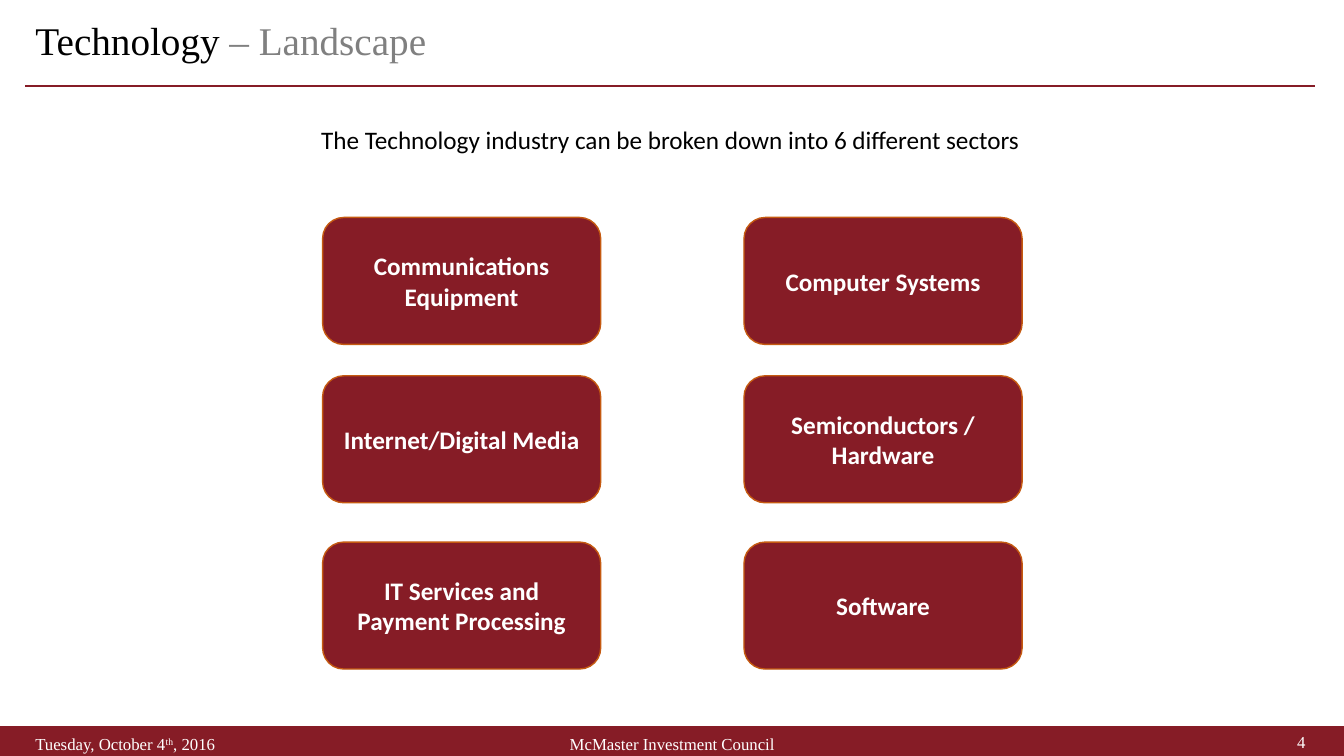
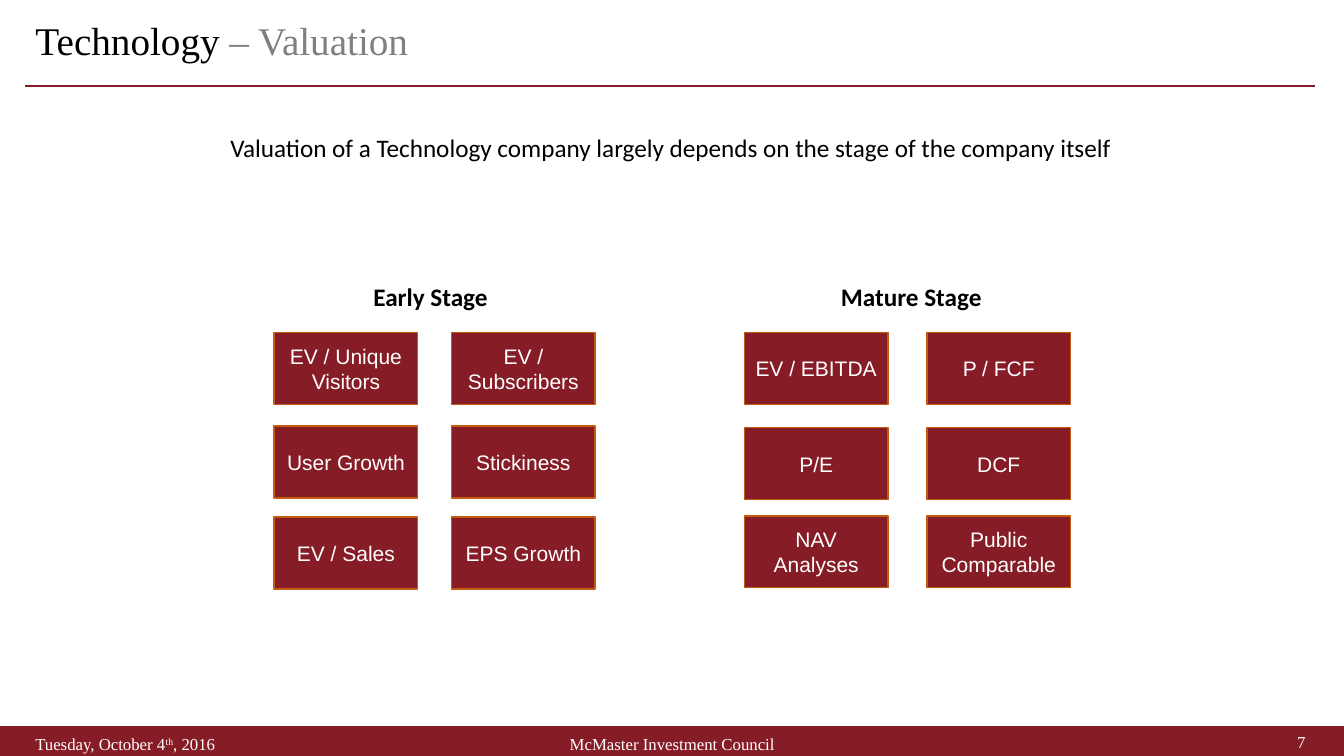
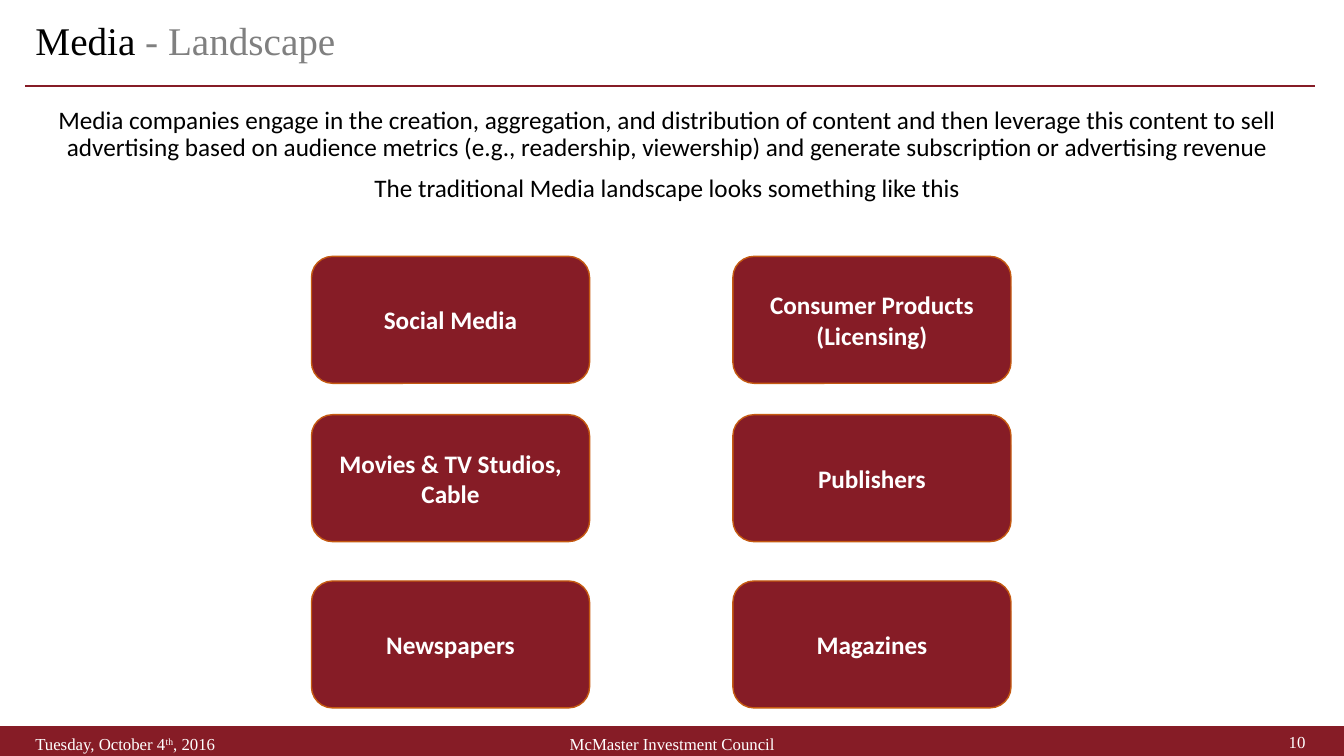
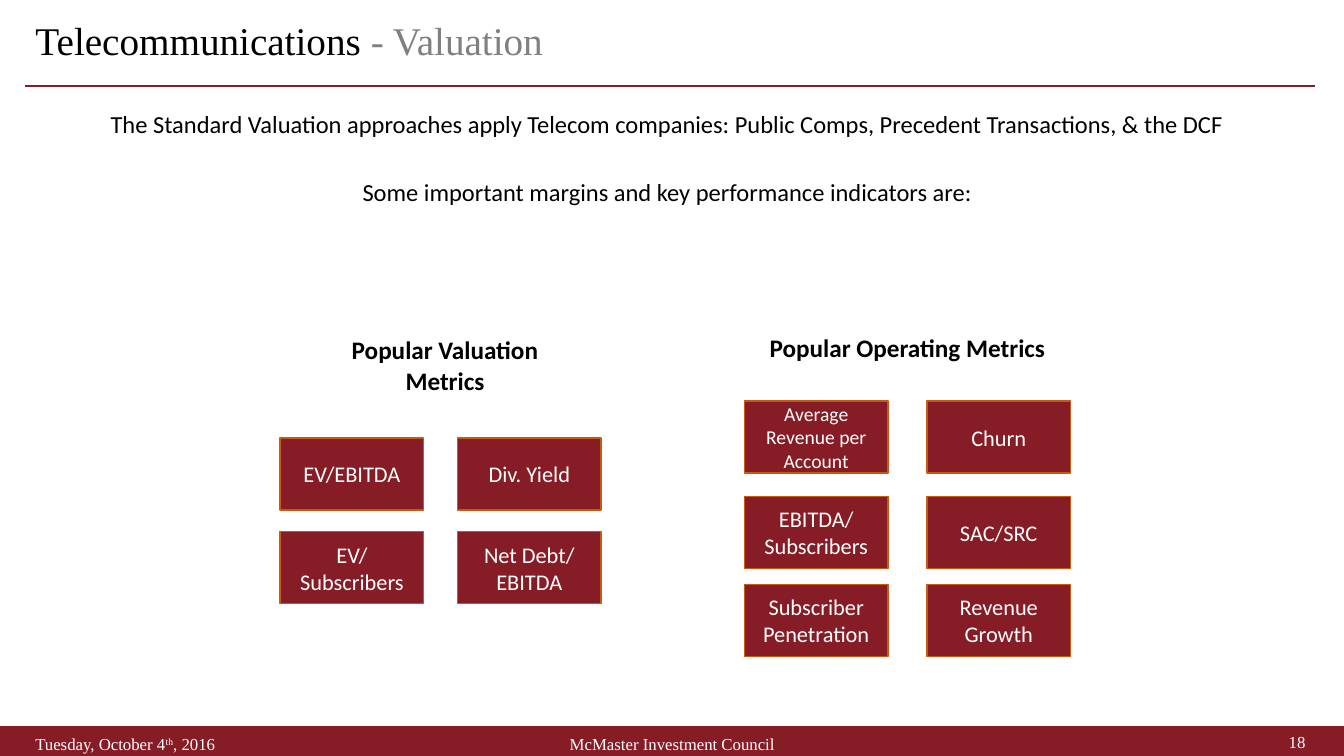
from pptx import Presentation
from pptx.dml.color import RGBColor
from pptx.enum.shapes import MSO_CONNECTOR, MSO_SHAPE
from pptx.enum.text import MSO_ANCHOR, MSO_AUTO_SIZE, PP_ALIGN
from pptx.util import Cm, Pt
from lxml.etree import SubElement
from pptx.oxml.ns import qn

COLORS = {
    "maroon": "861C26",
    "rust": "C55A11",
    "black": "000000",
    "gray": "808080",
    "white": "FFFFFF",
}
SERIF, SANS, PLAIN = "Times New Roman", "Calibri", "Arial"
WIDE, HIGH = 33.87, 19.05
EDGE, SPAN = 0.64, 32.51

# Column step and row offsets of each kind of grid
SECTORS = (10.62, (0, 3.99, 8.18))
LEFT = (4.47, (0, 2.36, 4.65))
RIGHT = (4.6, (0, 2.4, 4.62))


def color(name):
    return RGBColor.from_string(COLORS[name])


def style(font, face, size, shade, bold=False):
    font.name = face
    font.size = Pt(size)
    font.color.rgb = color(shade)
    font.bold = bold


def fill(shape, line):
    shape.shadow.inherit = False
    shape.fill.solid()
    shape.fill.fore_color.rgb = color("maroon")
    shape.line.color.rgb = color(line)
    shape.line.width = Pt(1)


def write(frame, text, face, size, shade, bold=False, align=PP_ALIGN.CENTER):
    frame.word_wrap = True
    frame.text = text
    for para in frame.paragraphs:
        para.alignment = align
        for run in para.runs:
            style(run.font, face, size, shade, bold)


def label(slide, text, at, face=SANS, size=18, shade="black", bold=False,
          align=PP_ALIGN.CENTER):
    frame = slide.shapes.add_textbox(*map(Cm, at)).text_frame
    write(frame, text, face, size, shade, bold, align)
    return frame


def intro(slide, text, at, size=18, lines=1.0, gap=0):
    """Centred lead text, with gap points between its paragraphs."""
    paras = label(slide, text, at, size=size).paragraphs
    for para in paras:
        para.line_spacing = lines
    for para in paras[1:]:
        para.space_before = Pt(gap)


def head(slide, text, at):
    label(slide, text, at, bold=True)


def foot(slide, text, left, top, width, align):
    frame = label(slide, text, (left, top, width, 0.51), SERIF, 12, "white",
                  align=align)
    frame.vertical_anchor = MSO_ANCHOR.MIDDLE
    frame.margin_top = frame.margin_bottom = 0
    return frame.paragraphs[0]


def date(slide):
    para = foot(slide, "Tuesday, October 4", EDGE, 18.49, 7.62, PP_ALIGN.LEFT)
    for text in ("th", ", 2016"):
        run = para.add_run()
        run.text = text
        style(run.font, SERIF, 12, "white")
    para.runs[1]._r.get_or_add_rPr().set("baseline", "30000")


def title(slide, topic, part):
    shape = slide.shapes.title
    shape.left, shape.top, shape.width, shape.height = map(
        Cm, (EDGE, 0.48, SPAN, 1.22))
    frame = shape.text_frame
    frame.auto_size = MSO_AUTO_SIZE.NONE
    frame.vertical_anchor = MSO_ANCHOR.MIDDLE
    write(frame, topic + " ", SERIF, 28, "black", align=PP_ALIGN.LEFT)
    para = frame.paragraphs[0]
    para.line_spacing = 0.9
    run = para.add_run()
    run.text = part
    style(run.font, SERIF, 28, "gray")


def rule(slide):
    line = slide.shapes.add_connector(
        MSO_CONNECTOR.STRAIGHT, Cm(EDGE), Cm(2.17), Cm(EDGE + SPAN), Cm(2.17))
    line.line.color.rgb = color("maroon")
    line.line.width = Pt(1.5)
    SubElement(line._element.spPr, qn("a:effectLst"))


def page(deck, topic, part, number):
    """Add a slide with the shared title, rule, band and footers."""
    slide = deck.slides.add_slide(deck.slide_layouts[5])
    band = slide.shapes.add_shape(
        MSO_SHAPE.RECTANGLE, 0, Cm(18.31), Cm(WIDE), Cm(HIGH - 18.31))
    fill(band, "maroon")
    rule(slide)
    title(slide, topic, part)
    date(slide)
    foot(slide, "McMaster Investment Council", 11.23, 18.49, 11.43,
         PP_ALIGN.CENTER)
    foot(slide, str(number), 25.53, 18.44, 7.62, PP_ALIGN.RIGHT)
    return slide


def box(slide, kind, text, at, face, size, bold):
    shape = slide.shapes.add_shape(kind, *map(Cm, at))
    fill(shape, "rust")
    frame = shape.text_frame
    frame.vertical_anchor = MSO_ANCHOR.MIDDLE
    write(frame, text, face, size, "white", bold)


def cells(items, left, top, plan):
    """Yield each item with its place in a two-column grid, row by row."""
    step, drops = plan
    for i, item in enumerate(items):
        row, col = divmod(i, 2)
        yield item, left + col * step, top + drops[row]


def sectors(slide, items, left, top):
    for text, x, y in cells(items, left, top, SECTORS):
        box(slide, MSO_SHAPE.ROUNDED_RECTANGLE, text, (x, y, 7.01, 3.2),
            SANS, 18, True)


def metrics(slide, items, left, top, plan, face, size):
    """Draw small boxes; three-line labels are two points smaller."""
    for text, x, y in cells(items, left, top, plan):
        fit = size - 2 if len(text) > 24 else size
        box(slide, MSO_SHAPE.RECTANGLE, text, (x, y, 3.62, 1.81),
            face, fit, False)


def main():
    deck = Presentation()
    deck.slide_width, deck.slide_height = Cm(WIDE), Cm(HIGH)

    slide = page(deck, "Technology", "– Landscape", 4)
    intro(slide, "The Technology industry can be broken down into 6 different "
          "sectors", (EDGE, 3.1, SPAN, 0.97), lines=0.9)
    sectors(slide, ["Communications Equipment", "Computer Systems",
                    "Internet/Digital Media", "Semiconductors / Hardware",
                    "IT Services and Payment Processing", "Software"],
            8.13, 5.48)

    slide = page(deck, "Technology", "– Valuation", 7)
    intro(slide, "Valuation of a Technology company largely depends on the "
          "stage of the company itself", (1.93, 3.22, 29.95, 1.22))
    head(slide, "Early Stage", (8.85, 6.96, 4, 1.02))
    head(slide, "Mature Stage", (19.41, 6.96, 7.11, 1.02))
    metrics(slide, ["EV / Unique Visitors", "EV / Subscribers", "User Growth",
                    "Stickiness", "EV / Sales", "EPS Growth"],
            6.91, 8.38, LEFT, PLAIN, 15)
    metrics(slide, ["EV / EBITDA", "P / FCF", "P/E", "DCF", "NAV Analyses",
                    "Public Comparable"],
            18.76, 8.38, RIGHT, PLAIN, 15)

    slide = page(deck, "Media", "- Landscape", 10)
    intro(slide, "Media companies engage in the creation, aggregation, and "
          "distribution of content and then leverage this content to sell "
          "advertising based on audience metrics (e.g., readership, "
          "viewership) and generate subscription or advertising revenue\n"
          "The traditional Media landscape looks something like this",
          (0.56, 2.59, SPAN, 3.7), lines=0.9, gap=10)
    sectors(slide, ["Social Media", "Consumer Products (Licensing)",
                    "Movies & TV Studios, Cable", "Publishers",
                    "Newspapers", "Magazines"], 7.85, 6.46)

    slide = page(deck, "Telecommunications", "- Valuation", 18)
    intro(slide, "The Standard Valuation approaches apply Telecom companies: "
          "Public Comps, Precedent Transactions, & the DCF\n"
          "Some important margins and key performance indicators are:",
          (1.85, 2.62, 29.95, 3.28), size=17.5, gap=28)
    head(slide, "Popular Valuation Metrics", (7.85, 8.31, 6.73, 1.8))
    head(slide, "Popular Operating Metrics", (18.77, 8.26, 8.2, 1.02))
    metrics(slide, ["EV/EBITDA", "Div. Yield", "EV/\nSubscribers",
                    "Net Debt/ EBITDA"], 7.06, 11.04, LEFT, SANS, 16)
    metrics(slide, ["Average Revenue per Account", "Churn",
                    "EBITDA/\nSubscribers", "SAC/SRC",
                    "Subscriber Penetration", "Revenue Growth"],
            18.76, 10.11, RIGHT, SANS, 16)

    deck.save("out.pptx")


if __name__ == "__main__":
    main()
